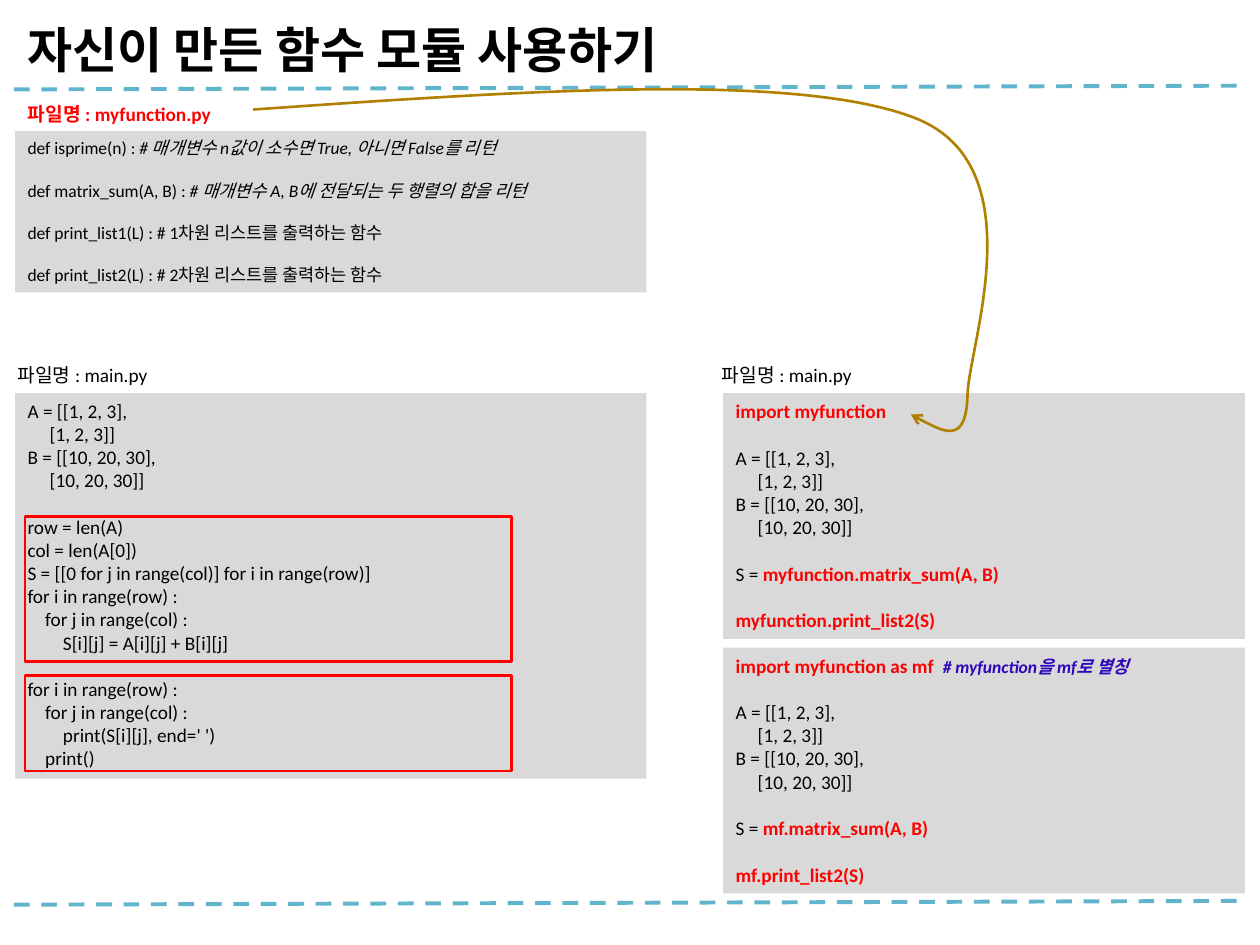
import pptx
import pptx.util
import pptx.dml.color
import pptx.enum.dml
import pptx.enum.shapes
import pptx.enum.text
import pptx.oxml
import pptx.oxml.ns

COLORS = {"black": "000000", "red": "FF0000", "gray": "D9D9D9",
          "teal": "60B5CC", "gold": "B28000", "violet": "2D07B9"}
FORMATS = {
    "plain": {"bold": False, "italic": False},
    "remark": {"italic": True},
    "key": {"bold": True, "color": "red"},
    "note": {"bold": True, "italic": True, "color": "violet", "size": 10},
    "title": {"bold": True, "size": 28},
}
CELL = pptx.util.Inches(0.1)  # the slide is a grid of 100 columns by 75 rows
LINE_HEIGHT = 1.22            # share of the font size
SPACE_WIDTH = 0.23            # share of the font size


def cells(*counts):
    return [round(count * CELL) for count in counts]


class SlideBuilder:
    font_name = "Calibri"

    def __init__(self, presentation):
        self.slide = presentation.slides.add_slide(presentation.slide_layouts[5])
        self.shapes = self.slide.shapes

    def color(self, name):
        return pptx.dml.color.RGBColor.from_string(COLORS[name])

    def add_run(self, paragraph, text, style, size):
        run = paragraph.add_run()
        run.text = text
        values = {"name": self.font_name, "size": size, "color": "black", **FORMATS[style]}
        run.font.color.rgb = self.color(values.pop("color"))
        values["size"] = pptx.util.Pt(values["size"])
        for attribute, value in values.items():
            setattr(run.font, attribute, value)

    def fill_text(self, frame, lines, size):
        """Fill a frame: an empty line becomes spacing, leading spaces an indent."""
        frame.word_wrap = True
        frame.vertical_anchor = pptx.enum.text.MSO_ANCHOR.TOP
        paragraph, gap = None, 0
        for line in lines:
            if not line:
                gap += size * LINE_HEIGHT
                continue
            paragraph = frame.add_paragraph() if paragraph is not None else frame.paragraphs[0]
            paragraph.alignment = pptx.enum.text.PP_ALIGN.LEFT
            paragraph.space_before = pptx.util.Pt(gap)
            gap = 0
            runs = [(line, "plain")] if isinstance(line, str) else line
            first = runs[0][0]
            indent = len(first) - len(first.lstrip())
            if indent:
                margin = pptx.util.Pt(indent * SPACE_WIDTH * size)
                paragraph._p.get_or_add_pPr().set("marL", str(margin))
            for text, style in [(first.lstrip(), runs[0][1]), *runs[1:]]:
                self.add_run(paragraph, text, style, size)

    def title(self, text, *box):
        shape = self.shapes.title
        for attribute, value in zip(("left", "top", "width", "height"), cells(*box)):
            setattr(shape, attribute, value)
        self.fill_text(shape.text_frame, [[(text, "title")]], 28)
        shape.text_frame.vertical_anchor = pptx.enum.text.MSO_ANCHOR.BOTTOM

    def label(self, text, *box, style="plain"):
        shape = self.shapes.add_textbox(*cells(*box))
        self.fill_text(shape.text_frame, [[(text, style)]], 11)

    def rectangle(self, *box):
        shape = self.shapes.add_shape(pptx.enum.shapes.MSO_SHAPE.RECTANGLE, *cells(*box))
        shape.shadow.inherit = False
        return shape

    def code_box(self, lines, *box, size=11):
        shape = self.rectangle(*box)
        shape.fill.solid()
        shape.fill.fore_color.rgb = self.color("gray")
        shape.line.fill.background()
        self.fill_text(shape.text_frame, lines, size)

    def frame(self, *box):
        shape = self.rectangle(*box)
        shape.fill.background()
        self.stroke(shape, "red", 1.5)

    def stroke(self, shape, color, width):
        shape.line.color.rgb = self.color(color)
        shape.line.width = pptx.util.Pt(width)

    def dashed_rule(self, *ends):
        straight = pptx.enum.shapes.MSO_CONNECTOR.STRAIGHT
        rule = self.shapes.add_connector(straight, *cells(*ends))
        self.stroke(rule, "teal", 2.25)
        rule.line.dash_style = pptx.enum.dml.MSO_LINE.DASH
        rule._element.spPr.append(pptx.oxml.parse_xml(
            f'<a:effectLst {pptx.oxml.ns.nsdecls("a")}/>'))

    def curved_arrow(self, corners, start, curves):
        """Draw Bezier curves inside the box spanned by two opposite corners."""
        (left, top), end = corners
        builder = self.shapes.build_freeform(*cells(left, top))
        builder.add_line_segments([cells(*end)], close=False)
        shape = builder.convert_to_shape()
        shape.shadow.inherit = False
        shape.fill.background()
        self.stroke(shape, "gold", 1.5)

        def points(pairs):
            offsets = [cells(x - left, y - top) for x, y in pairs]
            return "".join(f'<a:pt x="{x}" y="{y}"/>' for x, y in offsets)

        namespace = pptx.oxml.ns.nsdecls("a")
        outline = shape._element.spPr.find(".//" + pptx.oxml.ns.qn("a:path"))
        for child in list(outline):
            outline.remove(child)
        steps = [("moveTo", [start])] + [("cubicBezTo", curve) for curve in curves]
        for tag, pairs in steps:
            outline.append(pptx.oxml.parse_xml(
                f"<a:{tag} {namespace}>{points(pairs)}</a:{tag}>"))
        shape.line._get_or_add_ln().append(
            pptx.oxml.parse_xml(f'<a:tailEnd {namespace} type="arrow"/>'))


MATRICES = ["A = [[1, 2, 3],", "     [1, 2, 3]]", "B = [[10, 20, 30],", "     [10, 20, 30]]", ""]
LOOPS = ["for i in range(row) :", "    for j in range(col) :"]
MODULE_CODE = [
    [("def isprime(n) : ", "plain"), ("# 매개변수 n값이 소수면 True, 아니면 False를 리턴", "remark")], "",
    [("def matrix_sum(A, B) : ", "plain"),
     ("# 매개변수 A, B에 전달되는 두 행렬의 합을 리턴", "remark")], "",
    "def print_list1(L) : # 1차원 리스트를 출력하는 함수", "",
    "def print_list2(L) : # 2차원 리스트를 출력하는 함수",
]
MAIN_CODE = [
    *MATRICES, "row = len(A)", "col = len(A[0])",
    "S = [[0 for j in range(col)] for i in range(row)]",
    *LOOPS, "        S[i][j] = A[i][j] + B[i][j]", "",
    *LOOPS, "        print(S[i][j], end=' ')", "    print()",
]


def importing_code(import_line, module):
    return [import_line, "", *MATRICES,
            [("S = ", "plain"), (f"{module}.matrix_sum(A, B)", "key")], "",
            [(f"{module}.print_list2(S)", "key")]]


def main():
    presentation = pptx.Presentation()
    presentation.slide_width, presentation.slide_height = cells(100, 75)
    builder = SlideBuilder(presentation)
    left, right, wide, narrow = 1.2, 57.4, 50.1, 41.4

    for row in (7.1, 71.8):
        builder.dashed_rule(1.1, row, 98.7, row - 0.3)
    builder.title("자신이 만든 함수 모듈 사용하기", left, 0, 97.6, 6.7)
    builder.code_box(MODULE_CODE, left, 10.4, wide, 12.8, size=10)
    builder.label("파일명 : myfunction.py", left, 7.6, wide, 2.9, style="key")

    builder.code_box(MAIN_CODE, left, 31.2, wide, 30.6)
    for column in (0.4, 56.3):
        builder.label("파일명 : main.py", column, 28.3, 38.6, 2.9)
    for row, height in ((41, 11.5), (53.6, 7.6)):
        builder.frame(2, row, 38.6, height)

    plain_import = [("import myfunction", "key")]
    alias_import = [("import myfunction as mf  ", "key"), ("# myfunction을 mf로 별칭", "note")]
    builder.code_box(importing_code(plain_import, "myfunction"), right, 31.2, narrow, 19.5)
    builder.code_box(importing_code(alias_import, "mf"), right, 51.4, narrow, 19.5)
    builder.curved_arrow(
        [(20.1, 7.1), (78.4, 34.1)], (20.1, 8.7),
        [[(41.7, 7.2), (63.3, 5.7), (72.7, 9.4)],
         [(82.2, 13.2), (76.9, 27.4), (76.8, 31.3)],
         [(76.7, 35.3), (74.5, 34.1), (72.3, 32.9)]])
    presentation.save("out.pptx")


if __name__ == "__main__":
    main()
